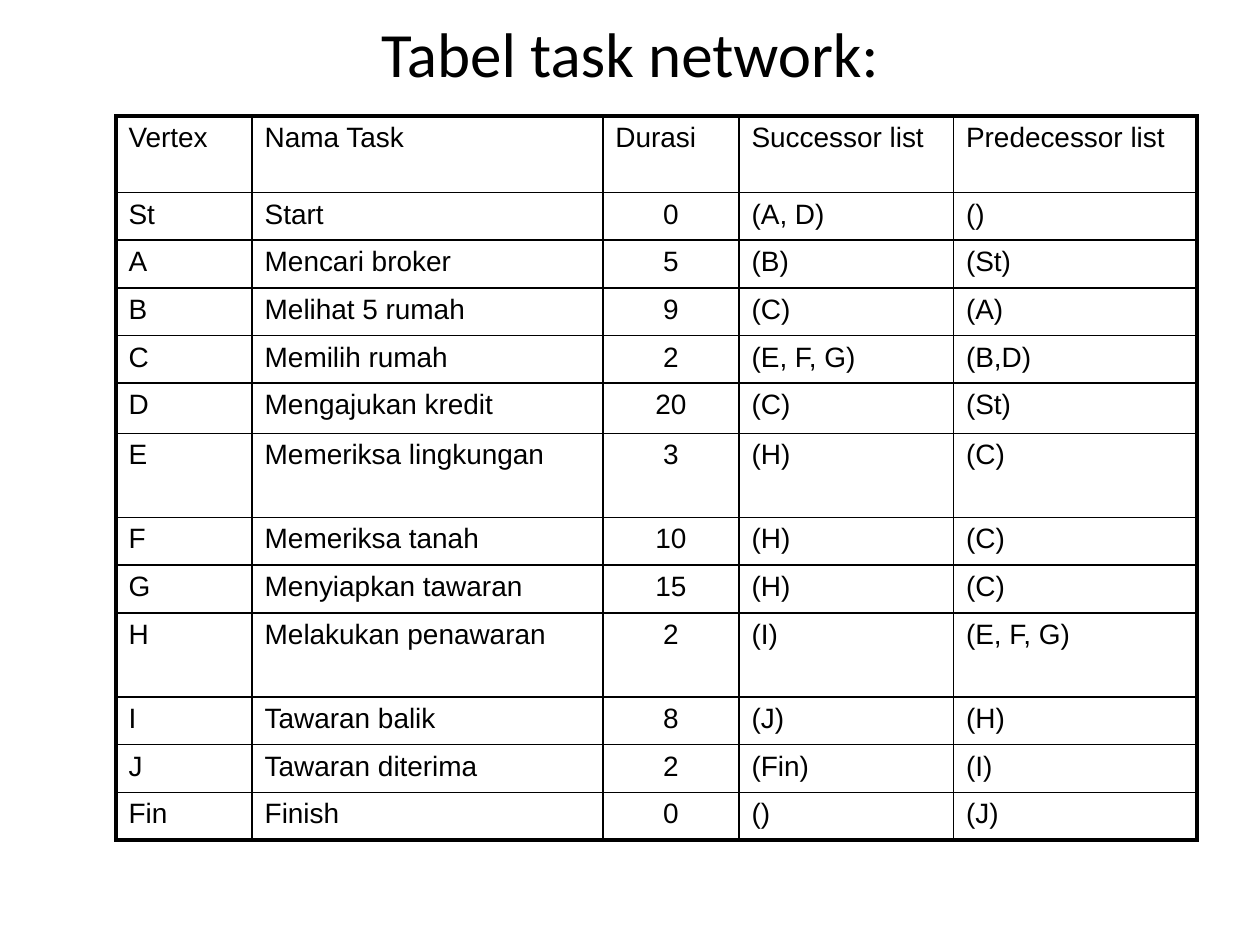
from typing import NamedTuple

from lxml.etree import SubElement
from pptx import Presentation
from pptx.dml.color import RGBColor
from pptx.enum.text import MSO_ANCHOR, PP_ALIGN
from pptx.oxml.ns import qn
from pptx.util import Inches, Pt

INK = "000000"
THIN, THICK = 1, 2.25
TABLE_LEFT, TABLE_TOP, TABLE_WIDTH, TABLE_HEIGHT = 0.92, 0.92, 8.58, 5.75
NORMAL_ROW, HEADER_ROW, LOAN_ROW, TALL_ROW = 0.38, 0.61, 0.4, 0.67


class Column(NamedTuple):
    heading: str
    share: float
    align: PP_ALIGN = PP_ALIGN.LEFT


class Task(NamedTuple):
    vertex: str
    name: str
    duration: int
    successors: str
    predecessors: str
    height: float = NORMAL_ROW

    def values(self) -> list[str]:
        return [str(value) for value in self[:5]]


COLUMNS = [
    Column("Vertex", 1.08),
    Column("Nama Task", 2.78),
    Column("Durasi", 1.08, PP_ALIGN.CENTER),
    Column("Successor list", 1.7),
    Column("Predecessor list", 1.93),
]
TASKS = [
    Task("St", "Start", 0, "(A, D)", "()"),
    Task("A", "Mencari broker", 5, "(B)", "(St)"),
    Task("B", "Melihat 5 rumah", 9, "(C)", "(A)"),
    Task("C", "Memilih rumah", 2, "(E, F, G)", "(B,D)"),
    Task("D", "Mengajukan kredit", 20, "(C)", "(St)", LOAN_ROW),
    Task("E", "Memeriksa lingkungan", 3, "(H)", "(C)", TALL_ROW),
    Task("F", "Memeriksa tanah", 10, "(H)", "(C)"),
    Task("G", "Menyiapkan tawaran", 15, "(H)", "(C)"),
    Task("H", "Melakukan penawaran", 2, "(I)", "(E, F, G)", TALL_ROW),
    Task("I", "Tawaran balik", 8, "(J)", "(H)"),
    Task("J", "Tawaran diterima", 2, "(Fin)", "(I)"),
    Task("Fin", "Finish", 0, "()", "(J)"),
]


def color(value: str) -> RGBColor:
    return RGBColor.from_string(value)


def format_text(p, font: str, size: float, align: PP_ALIGN) -> None:
    p.alignment = align
    for r in p.runs:
        r.font.name = font
        r.font.size = Pt(size)
        r.font.color.rgb = color(INK)


def split(total: float, weights: list[float]) -> list[int]:
    """Divide a length in inches in proportion to the weights."""
    return [Inches(total * weight / sum(weights)) for weight in weights]


def add_borders(cell, widths: dict[str, float]) -> None:
    tc_pr = cell._tc.get_or_add_tcPr()
    for side, width in widths.items():
        line = SubElement(tc_pr, qn(f"a:ln{side}"), w=str(Pt(width)))
        fill = SubElement(line, qn("a:solidFill"))
        SubElement(fill, qn("a:srgbClr"), val=INK)


def add_title(slide, text: str) -> None:
    title = slide.shapes.title
    title.left, title.top = Inches(0.5), 0
    title.width, title.height = Inches(9), Inches(0.83)
    tf = title.text_frame
    tf.text = text
    tf.vertical_anchor = MSO_ANCHOR.MIDDLE
    format_text(tf.paragraphs[0], "Calibri", 36, PP_ALIGN.CENTER)


def add_task_table(slide, columns: list[Column], tasks: list[Task]) -> None:
    rows = [[column.heading for column in columns]] + [task.values() for task in tasks]
    last_row, last_column = len(rows) - 1, len(columns) - 1
    table = slide.shapes.add_table(
        len(rows), len(columns), Inches(TABLE_LEFT), Inches(TABLE_TOP),
        Inches(TABLE_WIDTH), Inches(TABLE_HEIGHT)).table
    table.first_row = table.horz_banding = False

    widths = split(TABLE_WIDTH, [column.share for column in columns])
    heights = split(TABLE_HEIGHT, [HEADER_ROW] + [task.height for task in tasks])
    for column, width in zip(table.columns, widths):
        column.width = width
    for row, height in zip(table.rows, heights):
        row.height = height

    for i, values in enumerate(rows):
        for j, value in enumerate(values):
            cell = table.cell(i, j)
            cell.text = value
            align = columns[j].align if i else PP_ALIGN.LEFT
            format_text(cell.text_frame.paragraphs[0], "Arial", 16, align)
            add_borders(cell, {
                "L": THICK if j == 0 else THIN,
                "R": THICK if j == last_column else THIN,
                "T": THICK if i == 0 else THIN,
                "B": THICK if i == last_row else THIN,
            })
            cell.fill.background()


def main() -> None:
    prs = Presentation()
    prs.slide_width, prs.slide_height = Inches(10), Inches(7.5)
    slide = prs.slides.add_slide(prs.slide_layouts[5])
    add_title(slide, "Tabel task network:")
    add_task_table(slide, COLUMNS, TASKS)
    prs.save("out.pptx")


if __name__ == "__main__":
    main()
